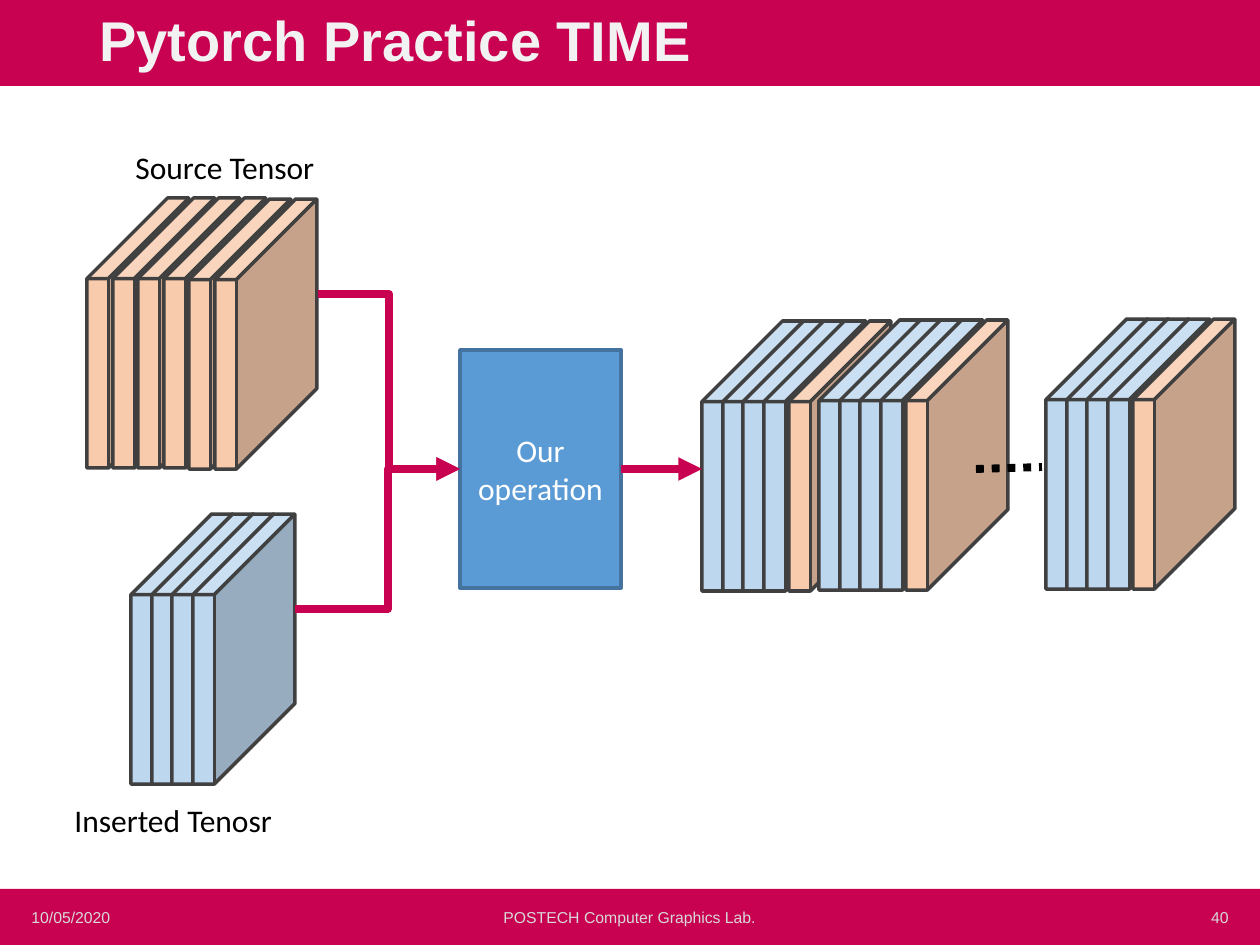
from dataclasses import dataclass
from typing import Optional

from lxml.etree import SubElement
from pptx import Presentation
from pptx.dml.color import RGBColor
from pptx.enum.dml import MSO_LINE
from pptx.enum.shapes import MSO_CONNECTOR, MSO_SHAPE
from pptx.enum.text import MSO_ANCHOR, PP_ALIGN
from pptx.oxml.ns import qn
from pptx.util import Pt

EMU_PER_PX = 914400 / 126
CUBE_WIDTH, CUBE_HEIGHT = 102, 270
CUBE_DEPTH = 0.79


@dataclass(frozen=True)
class Theme:
    crimson: str = "C80150"
    peach: str = "F8CBAD"
    sky: str = "BDD7EE"
    blue: str = "5B9BD5"
    blue_edge: str = "43739E"
    cube_edge: str = "404040"
    black: str = "000000"
    white: str = "FFFFFF"
    title_text: str = "F2F2F2"
    footer_text: str = "D9D9D9"
    heading_font: str = "Arial"
    body_font: str = "Calibri"
    title_size: int = 32
    body_size: int = 18
    footer_size: int = 9
    edge_width: float = 2
    arrow_width: float = 4.5


THEME = Theme()


@dataclass(frozen=True)
class Box:
    left: int
    top: int
    width: int
    height: int


@dataclass(frozen=True)
class TextStyle:
    font: str
    size: int
    color: str
    bold: bool = False
    align: PP_ALIGN = PP_ALIGN.LEFT
    anchor: MSO_ANCHOR = MSO_ANCHOR.MIDDLE
    line_spacing: Optional[float] = None


@dataclass(frozen=True)
class Label:
    text: str
    box: Box
    style: TextStyle


@dataclass(frozen=True)
class CubeStack:
    left: int
    top: int
    count: int
    step: float
    color: str


@dataclass(frozen=True)
class Link:
    start: tuple[int, int]
    end: tuple[int, int]
    kind: MSO_CONNECTOR
    color: str = THEME.crimson
    arrow: bool = True
    bend: Optional[int] = None


def footer_style(align: PP_ALIGN) -> TextStyle:
    return TextStyle(THEME.heading_font, THEME.footer_size, THEME.footer_text, align=align)


TITLE = TextStyle(THEME.heading_font, THEME.title_size, THEME.title_text, bold=True, line_spacing=0.9)
CAPTION = TextStyle(THEME.body_font, THEME.body_size, THEME.black, anchor=MSO_ANCHOR.TOP)
OPERATION = TextStyle(THEME.body_font, THEME.body_size, THEME.white, align=PP_ALIGN.CENTER)

BARS = (Box(0, 0, 1260, 86), Box(0, 889, 1260, 56))
LABELS = (
    Label("Pytorch Practice TIME", Box(87, 0, 1086, 86), TITLE),
    Label("10/05/2020", Box(19, 892, 283, 50), footer_style(PP_ALIGN.LEFT)),
    Label("POSTECH Computer Graphics Lab.", Box(417, 892, 425, 50), footer_style(PP_ALIGN.CENTER)),
    Label("40", Box(958, 892, 283, 50), footer_style(PP_ALIGN.RIGHT)),
    Label("Source Tensor", Box(123, 142, 219, 88), CAPTION),
    Label("Inserted Tenosr", Box(62, 795, 231, 88), CAPTION),
)
INPUT_STACKS = (
    CubeStack(87, 198, 4, 25.7, THEME.peach),
    CubeStack(189, 199, 2, 26, THEME.peach),
    CubeStack(131, 514, 4, 20.6, THEME.sky),
)
RESULT_POSITIONS = ((1046, 319), (702, 321), (819, 320))
RESULT_PEACH_OFFSET = 87
OPERATION_BOX = Box(460, 350, 161, 238)
INPUT_LINKS = (
    Link((318, 294), (460, 469), MSO_CONNECTOR.ELBOW, bend=50000),
    Link((295, 609), (460, 469), MSO_CONNECTOR.ELBOW, bend=56400),
)
RESULT_LINK = Link((621, 469), (702, 469), MSO_CONNECTOR.STRAIGHT)
CONTINUATION = Link((976, 469), (1042, 467), MSO_CONNECTOR.STRAIGHT, THEME.black, arrow=False)


def px(value: float) -> int:
    return round(value * EMU_PER_PX)


def bounds(box: Box) -> tuple[int, int, int, int]:
    return px(box.left), px(box.top), px(box.width), px(box.height)


def write_text(shape, text: str, style: TextStyle) -> None:
    text_frame = shape.text_frame
    text_frame.text = text
    text_frame.word_wrap = True
    text_frame.vertical_anchor = style.anchor
    paragraph = text_frame.paragraphs[0]
    paragraph.alignment = style.align
    if style.line_spacing:
        paragraph.line_spacing = style.line_spacing
    for run in paragraph.runs:
        run.font.name = style.font
        run.font.size = Pt(style.size)
        run.font.bold = style.bold
        run.font.color.rgb = RGBColor.from_string(style.color)


def add_filled(slide, kind: MSO_SHAPE, box: Box, fill: str, edge: Optional[str] = None):
    shape = slide.shapes.add_shape(kind, *bounds(box))
    shape.shadow.inherit = False
    shape.fill.solid()
    shape.fill.fore_color.rgb = RGBColor.from_string(fill)
    if edge:
        shape.line.color.rgb = RGBColor.from_string(edge)
        shape.line.width = Pt(THEME.edge_width)
    else:
        shape.line.fill.background()
    return shape


def add_label(slide, label: Label) -> None:
    write_text(slide.shapes.add_textbox(*bounds(label.box)), label.text, label.style)


def add_stack(slide, stack: CubeStack) -> None:
    for index in range(stack.count):
        left = round(stack.left + index * stack.step)
        box = Box(left, stack.top, CUBE_WIDTH, CUBE_HEIGHT)
        cube = add_filled(slide, MSO_SHAPE.CUBE, box, stack.color, THEME.cube_edge)
        cube.adjustments[0] = CUBE_DEPTH


def add_result(slide, left: int, top: int) -> None:
    add_stack(slide, CubeStack(left, top, 4, 20.6, THEME.sky))
    add_stack(slide, CubeStack(left + RESULT_PEACH_OFFSET, top, 1, 0, THEME.peach))


def add_link(slide, link: Link):
    connector = slide.shapes.add_connector(link.kind, *map(px, link.start + link.end))
    connector.line.color.rgb = RGBColor.from_string(link.color)
    connector.line.width = Pt(THEME.arrow_width)
    properties = connector._element.spPr
    SubElement(properties, qn("a:effectLst"))
    if link.arrow:
        SubElement(properties.find(qn("a:ln")), qn("a:tailEnd"), type="triangle")
    if link.bend is not None:
        adjustments = properties.find(qn("a:prstGeom")).find(qn("a:avLst"))
        SubElement(adjustments, qn("a:gd"), name="adj1", fmla=f"val {link.bend}")
    return connector


def main() -> None:
    presentation = Presentation()
    presentation.slide_width, presentation.slide_height = px(1260), px(945)
    slide = presentation.slides.add_slide(presentation.slide_layouts[6])
    for bar in BARS:
        add_filled(slide, MSO_SHAPE.RECTANGLE, bar, THEME.crimson)
    for stack in INPUT_STACKS:
        add_stack(slide, stack)
    for label in LABELS:
        add_label(slide, label)
    operation = add_filled(slide, MSO_SHAPE.RECTANGLE, OPERATION_BOX, THEME.blue, THEME.blue_edge)
    write_text(operation, "Our operation", OPERATION)
    for link in INPUT_LINKS:
        add_link(slide, link)
    for left, top in RESULT_POSITIONS:
        add_result(slide, left, top)
    add_link(slide, CONTINUATION).line.dash_style = MSO_LINE.ROUND_DOT
    add_link(slide, RESULT_LINK).begin_connect(operation, 3)
    presentation.save("out.pptx")


if __name__ == "__main__":
    main()
